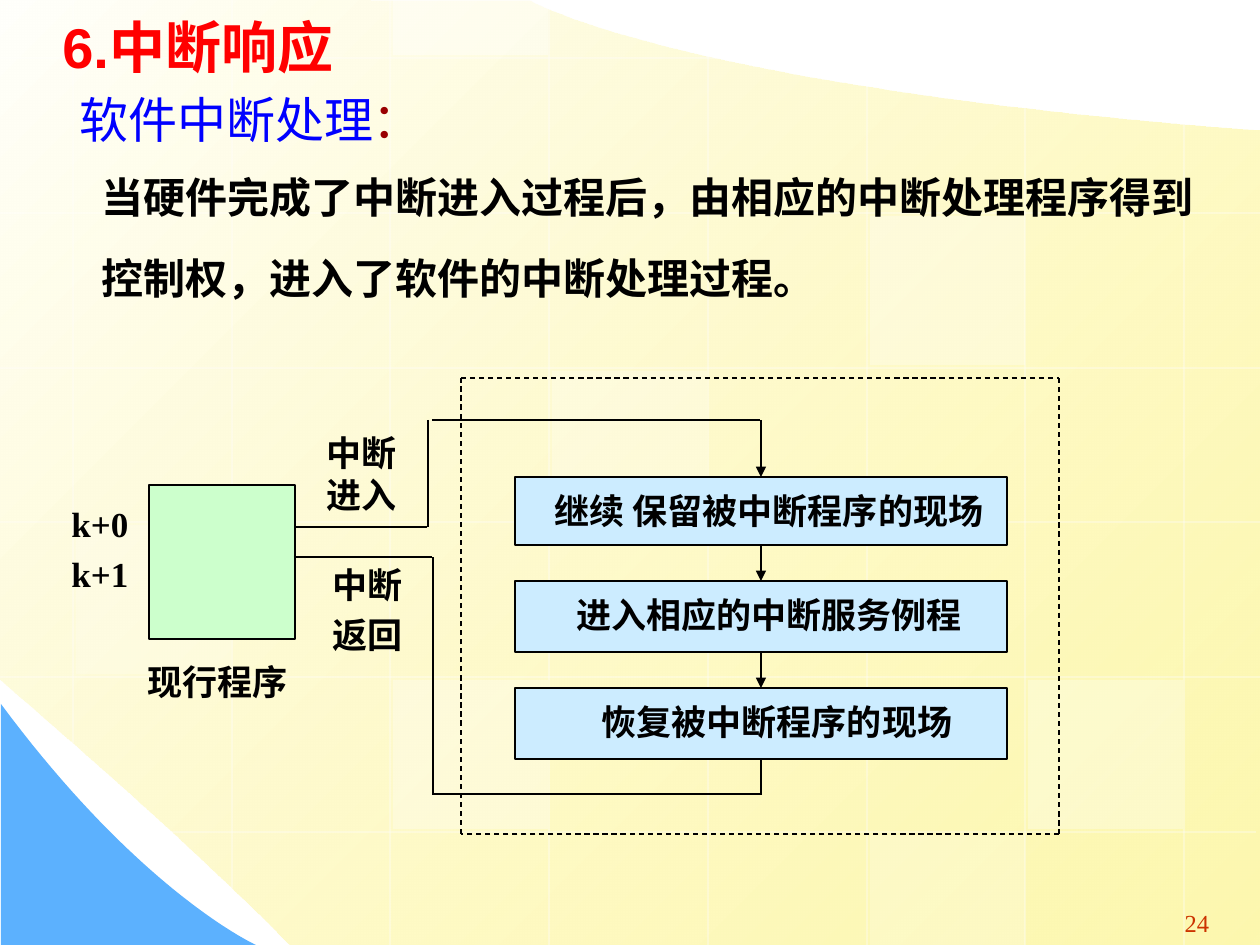
from dataclasses import dataclass
from typing import Optional

from pptx import Presentation
from pptx import util as u
from pptx.dml.color import RGBColor
from pptx.enum import dml, shapes, text
from pptx.oxml.ns import qn
from pptx.oxml.xmlchemy import OxmlElement

EMU_PER_PX = 914400 / 126
WIDTH, HEIGHT = 1260, 945


@dataclass(frozen=True)
class Theme:
    black: str = "000000"
    white: str = "FFFFFF"
    cream: str = "FFFFFB"
    yellow: str = "FDF58D"
    sky: str = "5CB1FE"
    step: str = "CCECFF"
    program: str = "CCFFCC"
    title: str = "FF0000"
    subtitle: str = "0000FF"
    colon: str = "990000"
    number: str = "CC3300"
    serif: str = "Times New Roman"
    sans: str = "Arial"
    title_size: int = 32
    subtitle_size: int = 28
    body_size: int = 24
    label_size: int = 20
    number_size: int = 14


THEME = Theme()


@dataclass(frozen=True)
class Rect:
    left: int
    top: int
    width: int
    height: int


@dataclass(frozen=True)
class Style:
    size: int = THEME.label_size
    color: str = THEME.black
    font: str = THEME.serif
    bold: bool = True
    align: text.PP_ALIGN = text.PP_ALIGN.CENTER
    spacing: float = 1.0
    before: float = 5
    indent: int = 0


@dataclass(frozen=True)
class Label:
    rect: Rect
    lines: tuple
    style: Style = Style()


@dataclass(frozen=True)
class Step:
    rect: Rect
    caption: str
    indent: int


@dataclass(frozen=True)
class Wire:
    start: tuple
    end: tuple
    color: str = THEME.black
    width: float = 0.75
    dashed: bool = False
    arrow: bool = False
    opacity: int = 100


COLUMNS = [73 + round(158.7 * i) for i in range(8)]
ROWS = [58 + round(154.8 * i) for i in range(6)]
COLUMN_ENDS = [(0, 767), (0, 906), (0, 945), (0, 945), (54, 945), (86, 945), (107, 945), (123, 945)]
ROW_ENDS = [(0, 716)] + [(0, 1260)] * 4 + [(140, 1256)]
TILES = [(3, 2, 25), (6, 4, 30), (0, 3, 20), (5, 5, 20), (2, -1, 40), (2, 4, 30), (5, 1, 30)]

STEPS = [
    Step(Rect(515, 477, 492, 68), "继续 保留被中断程序的现场", 16),
    Step(Rect(515, 581, 492, 71), "进入相应的中断服务例程", 16),
    Step(Rect(515, 688, 492, 71), "恢复被中断程序的现场", 32),
]
PROGRAM = Rect(149, 485, 146, 154)
FRAME = [(461, 378), (1059, 378), (1059, 834), (461, 834)]
WIRES = [
    Wire((295, 527), (427, 527)),
    Wire((428, 420), (428, 527)),
    Wire((432, 420), (760, 420)),
    Wire((761, 794), (433, 794)),
    Wire((433, 795), (433, 557)),
    Wire((294, 557), (432, 557)),
]
LABELS = [
    Label(Rect(302, 557, 132, 107), ("中断", "返回")),
    Label(Rect(302, 425, 120, 83), ("中断进入",)),
    Label(Rect(50, 496, 100, 47), ("k+0",)),
    Label(Rect(50, 546, 100, 47), ("k+1",)),
    Label(Rect(118, 654, 199, 59), ("现行程序",)),
    Label(Rect(1171, 897, 52, 47), ("24",),
          Style(THEME.number_size, THEME.number, bold=False, spacing=1.15)),
    Label(Rect(50, 150, 1178, 241),
          ("当硬件完成了中断进入过程后，由相应的中断处理程序得到", "控制权，进入了软件的中断处理过程。"),
          Style(THEME.body_size, align=text.PP_ALIGN.LEFT, spacing=1.3, before=9, indent=39)),
    Label(Rect(50, -4, 1084, 69), ("6.中断响应",),
          Style(THEME.title_size, THEME.title, THEME.sans, align=text.PP_ALIGN.LEFT, spacing=1.15)),
]
SUBTITLE = Label(Rect(67, 74, 791, 81), ("软件中断处理：",),
                 Style(THEME.subtitle_size, THEME.subtitle, bold=False,
                       align=text.PP_ALIGN.LEFT, spacing=1.15))


def px(value: float) -> u.Emu:
    return u.Emu(round(value * EMU_PER_PX))


def box_args(rect: Rect) -> list:
    return [px(v) for v in (rect.left, rect.top, rect.width, rect.height)]


def rgb(color: str) -> RGBColor:
    return RGBColor.from_string(color)


def set_opacity(element, percent: int) -> None:
    """Make the last colour inside the element translucent."""
    alpha = OxmlElement("a:alpha")
    alpha.set("val", str(percent * 1000))
    list(element.iter(qn("a:srgbClr")))[-1].append(alpha)


def style_font(font, style: Style) -> None:
    font.name, font.size, font.bold = style.font, u.Pt(style.size), style.bold
    font.color.rgb = rgb(style.color)


def write(shape, lines: tuple, style: Style) -> None:
    frame = shape.text_frame
    frame.word_wrap = True
    frame.vertical_anchor = text.MSO_ANCHOR.TOP
    frame.text = "\n".join(lines)
    for index, para in enumerate(frame.paragraphs):
        para.alignment, para.line_spacing = style.align, style.spacing
        para.space_before = u.Pt(style.before if index else 0)
        if style.indent:
            para._p.get_or_add_pPr().set("marL", str(px(style.indent)))
        for span in para.runs:
            style_font(span.font, style)


def add_label(slide, label: Label):
    box = slide.shapes.add_textbox(*box_args(label.rect))
    write(box, label.lines, label.style)
    return box


def add_subtitle(slide) -> None:
    para = add_label(slide, SUBTITLE).text_frame.paragraphs[0]
    para.runs[0].text = "软件"
    for part, color in (("中断处理", THEME.subtitle), ("：", THEME.colon)):
        span = para.add_run()
        span.text = part
        style_font(span.font, Style(THEME.subtitle_size, color, THEME.sans, bold=False))


def add_rect(slide, rect: Rect, fill: str, outline: Optional[str] = THEME.black):
    shape = slide.shapes.add_shape(shapes.MSO_SHAPE.RECTANGLE, *box_args(rect))
    shape.shadow.inherit = False
    shape.fill.solid()
    shape.fill.fore_color.rgb = rgb(fill)
    if outline:
        shape.line.color.rgb, shape.line.width = rgb(outline), u.Pt(0.75)
    else:
        shape.line.fill.background()
    return shape


def add_wire(slide, wire: Wire, source=None, target=None) -> None:
    """Draw a line, joined to the source's bottom and the target's top if given."""
    ends = [px(v) for v in wire.start + wire.end]
    line = slide.shapes.add_connector(shapes.MSO_CONNECTOR.STRAIGHT, *ends)
    if source is not None:
        line.begin_connect(source, 2)
    if target is not None:
        line.end_connect(target, 0)
    line.line.color.rgb, line.line.width = rgb(wire.color), u.Pt(wire.width)
    if wire.dashed:
        line.line.dash_style = dml.MSO_LINE.DASH
    if wire.arrow:
        head = OxmlElement("a:tailEnd")
        head.set("type", "triangle")
        line.line._get_or_add_ln().append(head)
    properties = line._element.spPr
    if wire.opacity < 100:
        set_opacity(properties, wire.opacity)
    properties.append(OxmlElement("a:effectLst"))


def curve(*controls: tuple, count: int = 40) -> list:
    """Points along a cubic Bezier curve."""
    weights = (1, 3, 3, 1)
    return [tuple(sum(w * (1 - t) ** (3 - k) * t ** k * point[axis]
                      for k, (w, point) in enumerate(zip(weights, controls)))
                  for axis in (0, 1))
            for t in (i / count for i in range(count + 1))]


def add_outline(slide, points: list):
    start, *rest = [(px(x), px(y)) for x, y in points]
    builder = slide.shapes.build_freeform(*start, scale=1.0)
    builder.add_line_segments(rest, close=True)
    shape = builder.convert_to_shape()
    shape.shadow.inherit = False
    shape.line.fill.background()
    return shape


def add_backdrop(slide) -> None:
    page = add_outline(slide, [(1260, 131), (1260, 945)]
                       + curve((290, 945), (181, 833), (-1, 679), (0, 679))
                       + [(-1, -1)] + curve((530, 1), (530, 1), (677, 87), (1260, 131)))
    page.fill.gradient()
    page.fill.gradient_angle = 315
    for stop, color, position in zip(page.fill.gradient_stops, (THEME.cream, THEME.yellow), (0, 1)):
        stop.color.rgb, stop.position = rgb(color), position
    set_opacity(page._element.spPr.find(qn("a:gradFill")), 70)

    corner = add_outline(slide, [(1, 704), (1, 945)] + curve((256, 945), (256, 945), (141, 893), (1, 704)))
    corner.fill.solid()
    corner.fill.fore_color.rgb = rgb(THEME.sky)

    for x, (top, bottom) in zip(COLUMNS, COLUMN_ENDS):
        add_wire(slide, Wire((x, top), (x, bottom), THEME.white, opacity=50))
    for y, (left, right) in zip(ROWS, ROW_ENDS):
        add_wire(slide, Wire((left, y), (right, y), THEME.white, opacity=50))
    for column, row, opacity in TILES:
        top = ROWS[row] + 3 if row >= 0 else ROWS[0] - 152
        bottom = min(top + 149, HEIGHT)
        top = max(top, 0)
        tile = add_rect(slide, Rect(COLUMNS[column] + 3, top, 155, bottom - top), THEME.white, None)
        set_opacity(tile._element.spPr, opacity)


def add_diagram(slide) -> None:
    add_rect(slide, PROGRAM, THEME.program)
    boxes = []
    for step in STEPS:
        box = add_rect(slide, step.rect, THEME.step)
        write(box, (step.caption,), Style(spacing=1.15, indent=step.indent))
        boxes.append(box)
    for start, end in zip(FRAME, FRAME[1:] + FRAME[:1]):
        add_wire(slide, Wire(start, end, dashed=True))
    for wire in WIRES:
        add_wire(slide, wire)
    add_wire(slide, Wire((761, 420), (761, 477), width=1.5, arrow=True), target=boxes[0])
    for upper, lower in zip(boxes, boxes[1:]):
        add_wire(slide, Wire((761, 545), (761, 581), arrow=True), upper, lower)
    add_wire(slide, Wire((761, 759), (761, 795)), source=boxes[-1])


def main() -> None:
    deck = Presentation()
    deck.slide_width, deck.slide_height = px(WIDTH), px(HEIGHT)
    slide = deck.slides.add_slide(deck.slide_layouts[6])
    add_backdrop(slide)
    add_diagram(slide)
    for label in LABELS:
        add_label(slide, label)
    add_subtitle(slide)
    deck.save("out.pptx")


if __name__ == "__main__":
    main()
